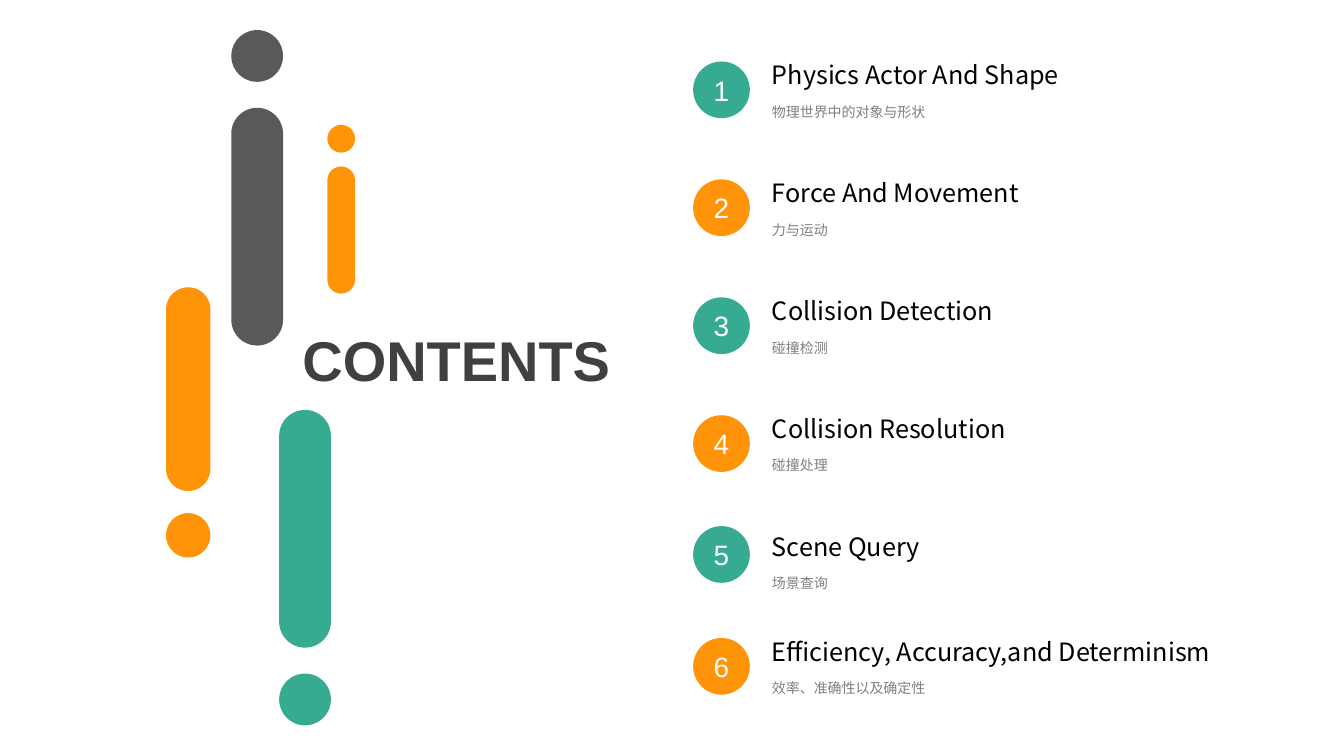
from lxml.etree import SubElement
from pptx import Presentation
from pptx.dml.color import RGBColor
from pptx.enum.shapes import MSO_SHAPE
from pptx.enum.text import MSO_ANCHOR, PP_ALIGN
from pptx.oxml.ns import qn
from pptx.util import Pt

COLORS = {
    "green": "37AB91",
    "orange": "FF9409",
    "slate": "595959",
    "heading": "404040",
    "title": "000000",
    "subtitle": "808080",
    "white": "FFFFFF",
}
LATIN_FONT = "Arial"
CJK_FONT = "Noto Sans CJK SC"

# left, top, width, colour, whether the dot sits above the bar
PILLARS = [
    (165.2, 21.5, 37, "slate", True),
    (233.8, 89.2, 19.8, "orange", True),
    (199.4, 292.8, 37, "green", False),
    (118.6, 205.2, 31.7, "orange", False),
]

# title, subtitle, top of the title, drop from the title to the badge
CHAPTERS = [
    ("Physics Actor And Shape", "物理世界中的对象与形状", 38.9, 5),
    ("Force And Movement", "力与运动", 123.1, 5),
    ("Collision Detection", "碰撞检测", 207.4, 5),
    ("Collision Resolution", "碰撞处理", 291.6, 5),
    ("Scene Query", "场景查询", 375.8, 0),
    ("Efficiency, Accuracy,and Determinism", "效率、准确性以及确定性", 450.7, 5),
]


def add_solid(slide, preset, left, top, width, height, color):
    shape = slide.shapes.add_shape(preset, Pt(left), Pt(top), Pt(width), Pt(height))
    shape.shadow.inherit = False
    shape.fill.solid()
    shape.fill.fore_color.rgb = RGBColor.from_string(COLORS[color])
    shape.line.fill.background()
    return shape


def write_text(shape, text, size, color, font_name=LATIN_FONT, bold=False):
    frame = shape.text_frame
    frame.word_wrap = True
    frame.text = text
    span = frame.paragraphs[0].runs[0]
    span.font.name = font_name
    span.font.size = Pt(size)
    span.font.bold = bold
    span.font.color.rgb = RGBColor.from_string(COLORS[color])
    SubElement(span.font._element, qn("a:ea")).set("typeface", CJK_FONT)


def add_label(slide, left, top, width, height, *text_style, **options):
    box = slide.shapes.add_textbox(Pt(left), Pt(top), Pt(width), Pt(height))
    write_text(box, *text_style, **options)


def add_pillar(slide, left, top, width, color, dot_above):
    """Draw a rounded bar and a dot, half a bar width apart."""
    bar_height = 4.59 * width
    bar_top = top + 1.5 * width if dot_above else top
    dot_top = top if dot_above else top + bar_height + 0.5 * width
    bar = add_solid(slide, MSO_SHAPE.ROUNDED_RECTANGLE, left, bar_top, width, bar_height, color)
    bar.adjustments[0] = 0.5
    add_solid(slide, MSO_SHAPE.OVAL, left, dot_top, width, width, color)


def add_chapter(slide, left, top, number, title, subtitle, badge_drop):
    color = "green" if number % 2 else "orange"
    badge = add_solid(slide, MSO_SHAPE.OVAL, left, top + badge_drop, 40.5, 40.5, color)
    write_text(badge, str(number), 20, "white")
    badge.text_frame.vertical_anchor = MSO_ANCHOR.MIDDLE
    badge.text_frame.paragraphs[0].alignment = PP_ALIGN.CENTER
    text_left = left + 49.2
    add_label(slide, text_left, top, 336, 28.8, title, 18, "title", font_name=CJK_FONT)
    add_label(slide, text_left, top + 31.3, 313, 19.4, subtitle, 10, "subtitle")


def build_contents(slide):
    for pillar in PILLARS:
        add_pillar(slide, *pillar)
    add_label(slide, 209, 229, 240.5, 55.4, "CONTENTS", 40, "heading", bold=True)
    for number, (title, subtitle, top, badge_drop) in enumerate(CHAPTERS, 1):
        add_chapter(slide, 495.1, top, number, title, subtitle, badge_drop)


def main():
    deck = Presentation()
    deck.slide_width = Pt(960)
    deck.slide_height = Pt(540)
    build_contents(deck.slides.add_slide(deck.slide_layouts[6]))
    deck.save("out.pptx")


if __name__ == "__main__":
    main()
